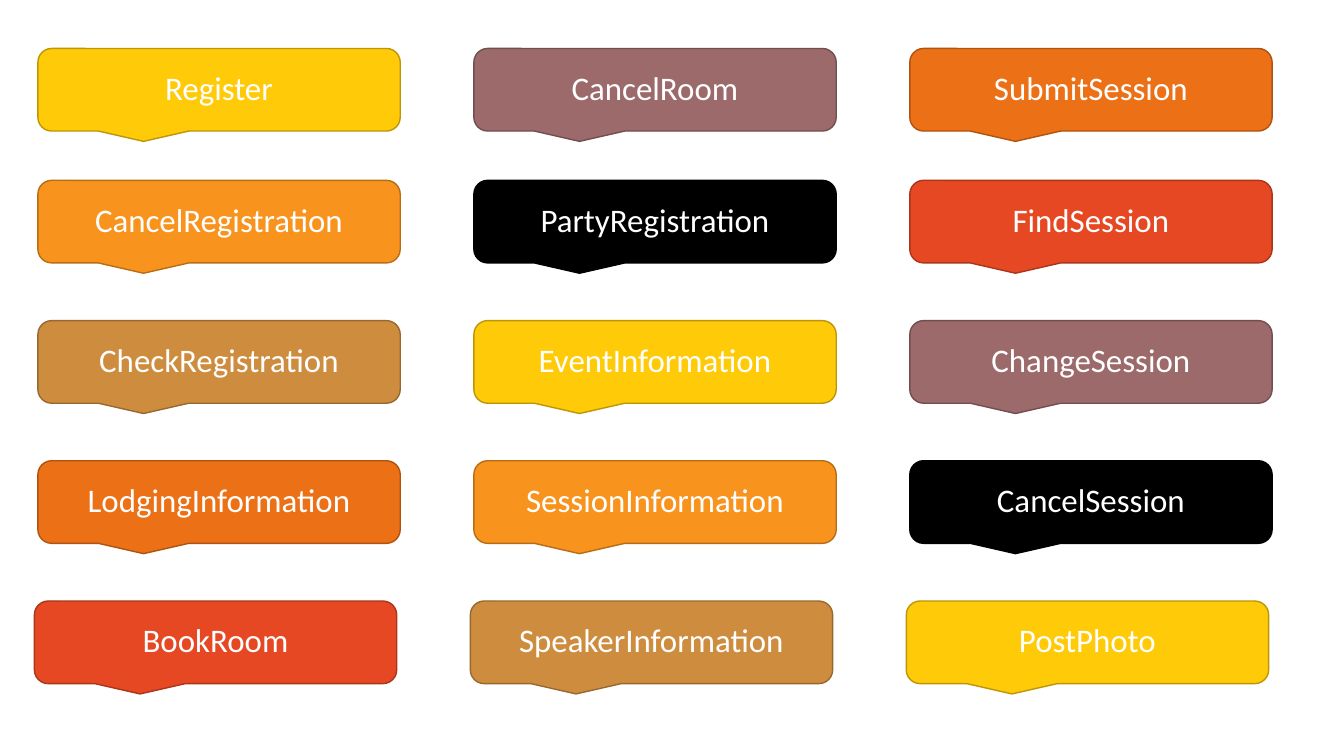
import dataclasses

import pptx
import pptx.dml.color
import pptx.enum.shapes
import pptx.enum.text
import pptx.util

Pt = pptx.util.Pt


@dataclasses.dataclass(frozen=True)
class Theme:
    font: str = "Calibri"
    size: float = 23.5
    text: str = "FFFFFF"
    pairs: tuple = (
        ("FFCA08", "BD9506"),
        ("F8931D", "B76D15"),
        ("CE8D3E", "98682E"),
        ("EC7016", "AF5310"),
        ("E64823", "AA351A"),
        ("9C6A6A", "734E4E"),
        ("000000", "000000"),
    )


THEME = Theme()
NAMES = (
    "Register", "CancelRegistration", "CheckRegistration",
    "LodgingInformation", "BookRoom",
    "CancelRoom", "PartyRegistration", "EventInformation",
    "SessionInformation", "SpeakerInformation",
    "SubmitSession", "FindSession", "ChangeSession",
    "CancelSession", "PostPhoto",
)
LEFT, PITCH = 27.1, 311.4
WIDTH, HEIGHT = 258.8, 59
TOPS = (34.6, 128.8, 229, 329.1, 429.3)
SHIFT = 2.5


def color(code):
    return pptx.dml.color.RGBColor.from_string(code)


def add_call(slide, name, left, top, fill, edge):
    kind = pptx.enum.shapes.MSO_SHAPE.ROUNDED_RECTANGULAR_CALLOUT
    shape = slide.shapes.add_shape(kind, Pt(left), Pt(top), Pt(WIDTH), Pt(HEIGHT))
    shape.shadow.inherit = False
    shape.fill.solid()
    shape.fill.fore_color.rgb = color(fill)
    shape.line.color.rgb = color(edge)
    shape.line.width = Pt(1)
    frame = shape.text_frame
    frame.word_wrap = True
    frame.margin_left = frame.margin_right = Pt(14.4)
    frame.margin_top = frame.margin_bottom = Pt(11.5)
    frame.vertical_anchor = pptx.enum.text.MSO_ANCHOR.MIDDLE
    frame.text = name
    line = frame.paragraphs[0]
    line.alignment = pptx.enum.text.PP_ALIGN.CENTER
    line.line_spacing = 0.9
    font = line.runs[0].font
    font.name = THEME.font
    font.size = Pt(THEME.size)
    font.color.rgb = color(THEME.text)


def main():
    deck = pptx.Presentation()
    deck.slide_width, deck.slide_height = Pt(960), Pt(540)
    slide = deck.slides.add_slide(deck.slide_layouts[6])
    for index, name in enumerate(NAMES):
        col, row = divmod(index, len(TOPS))
        left = LEFT + col * PITCH
        if row == len(TOPS) - 1:
            left -= SHIFT
        fill, edge = THEME.pairs[index % len(THEME.pairs)]
        add_call(slide, name, left, TOPS[row], fill, edge)
    deck.save("out.pptx")


if __name__ == "__main__":
    main()
